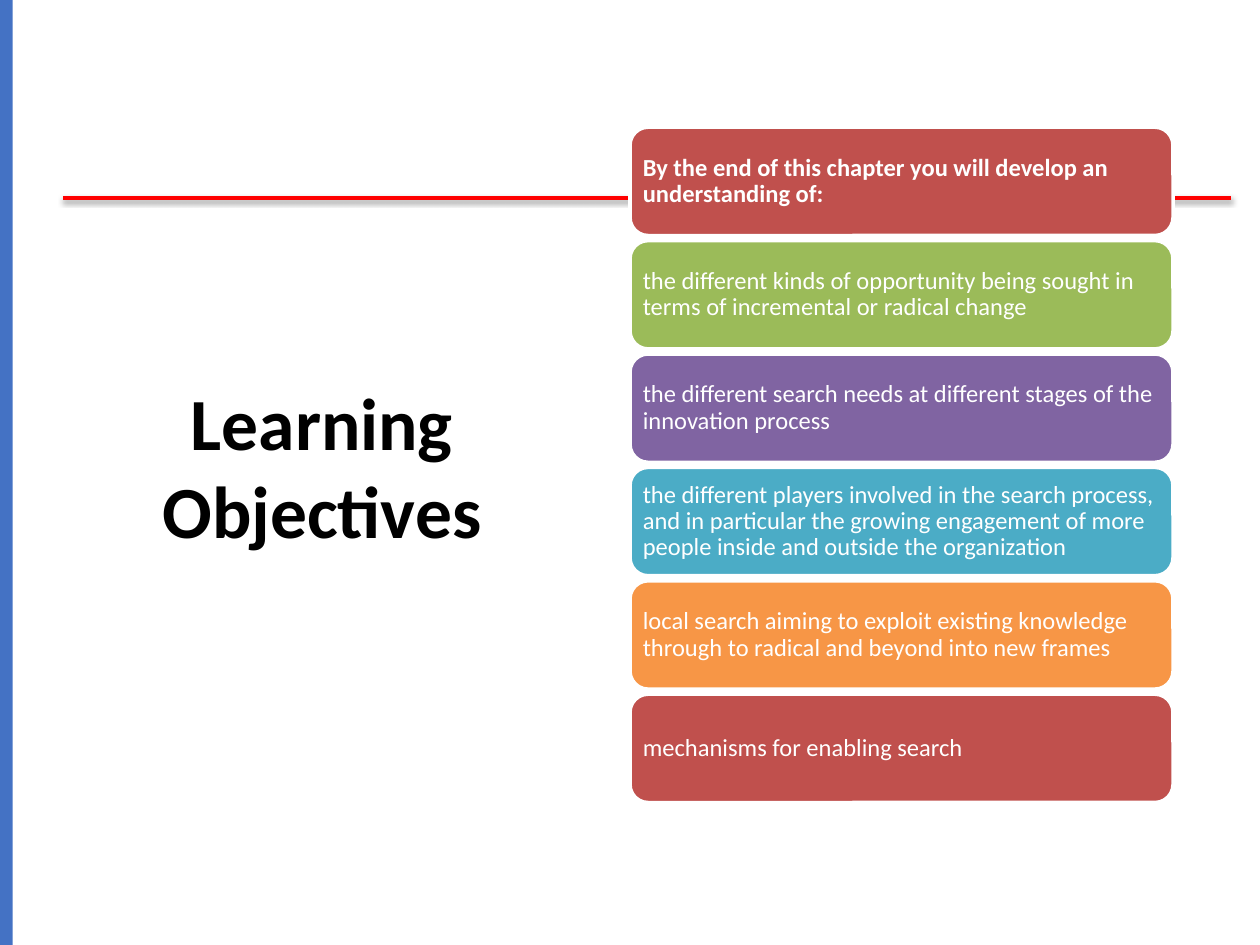
from dataclasses import dataclass

from lxml.etree import SubElement as Sub
from pptx import Presentation as Deck
from pptx.dml.color import RGBColor as RGB
from pptx.enum.shapes import MSO_CONNECTOR as Link, MSO_SHAPE as Form
from pptx.enum.text import MSO_ANCHOR as Anchor, PP_ALIGN as Align
from pptx.oxml.ns import qn
from pptx.util import Inches, Pt

TITLE = "Learning Objectives"
LEAD = "By the end of this chapter you will develop an understanding of:"
GOALS = [
    "the different kinds of opportunity being sought in terms of incremental or radical change",
    "the different search needs at different stages of the innovation process",
    "the different players involved in the search process, and in particular "
    "the growing engagement of more people inside and outside the organization",
    "local search aiming to exploit existing knowledge through to radical and beyond into new frames",
    "mechanisms for enabling search",
]


@dataclass(frozen=True)
class Theme:
    font: str = "Calibri"
    title: int = 42
    body: int = 14
    stroke: int = 2
    ink: str = "000000"
    paper: str = "FFFFFF"
    edge: str = "4472C4"
    rule: str = "FF0000"
    cards: tuple = ("C0504D", "9BBB59", "8064A2", "4BACC6", "F79646")


THEME = Theme()
LEFT, TOP, WIDE, HIGH, STEP = 5, 1.01, 4.31, 0.86, 0.9
INSET = 0.06


def tint(fill, color):
    fill.solid()
    fill.fore_color.rgb = RGB.from_string(color)


def write(shape, text, size, color, bold, align):
    frame = shape.text_frame
    frame.word_wrap = True
    frame.vertical_anchor = Anchor.MIDDLE
    para = frame.paragraphs[0]
    para.alignment = align
    run = para.add_run()
    run.text = text
    font = run.font
    font.name, font.size, font.bold = THEME.font, Pt(size), bold
    font.color.rgb = RGB.from_string(color)
    return frame


def add_box(slide, form, box, color):
    shape = slide.shapes.add_shape(form, *map(Inches, box))
    shape.shadow.inherit = False
    tint(shape.fill, color)
    shape.line.fill.background()
    return shape


def add_rule(slide):
    ends = map(Inches, (0.5, 1.57, 9.77, 1.57))
    rule = slide.shapes.add_connector(Link.STRAIGHT, *ends)
    rule.line.width = Pt(THEME.stroke)
    tint(rule.line.fill, THEME.rule)
    fx = Sub(rule._element.spPr, qn("a:effectLst"))
    shade = Sub(fx, qn("a:outerShdw"), blurRad=str(Pt(3.1)), dist=str(Pt(1.6)),
                dir="5400000", rotWithShape="0")
    ink = Sub(shade, qn("a:srgbClr"), val=THEME.ink)
    Sub(ink, qn("a:alpha"), val="38000")


def add_card(slide, row, text):
    color = THEME.cards[row % len(THEME.cards)]
    box = (LEFT, TOP + row * STEP, WIDE, HIGH)
    card = add_box(slide, Form.ROUNDED_RECTANGLE, box, color)
    tint(card.line.fill, THEME.paper)
    card.line.width = Pt(THEME.stroke)
    frame = write(card, text, THEME.body, THEME.paper, row == 0, Align.LEFT)
    frame.margin_left = frame.margin_right = Inches(INSET)
    frame.margin_top = frame.margin_bottom = Inches(INSET)
    frame.paragraphs[0].line_spacing = 0.9


def main():
    deck = Deck()
    deck.slide_width, deck.slide_height = Inches(10), Inches(7.5)
    slide = deck.slides.add_slide(deck.slide_layouts[6])
    tint(slide.background.fill, THEME.paper)
    title = slide.shapes.add_textbox(*map(Inches, (0.43, 0.68, 4.25, 6.02)))
    write(title, TITLE, THEME.title, THEME.ink, True, Align.CENTER)
    add_box(slide, Form.RECTANGLE, (0, 0, 0.1, 7.5), THEME.edge)
    add_rule(slide)
    for row, text in enumerate([LEAD, *GOALS]):
        add_card(slide, row, text)
    deck.save("out.pptx")


if __name__ == "__main__":
    main()
